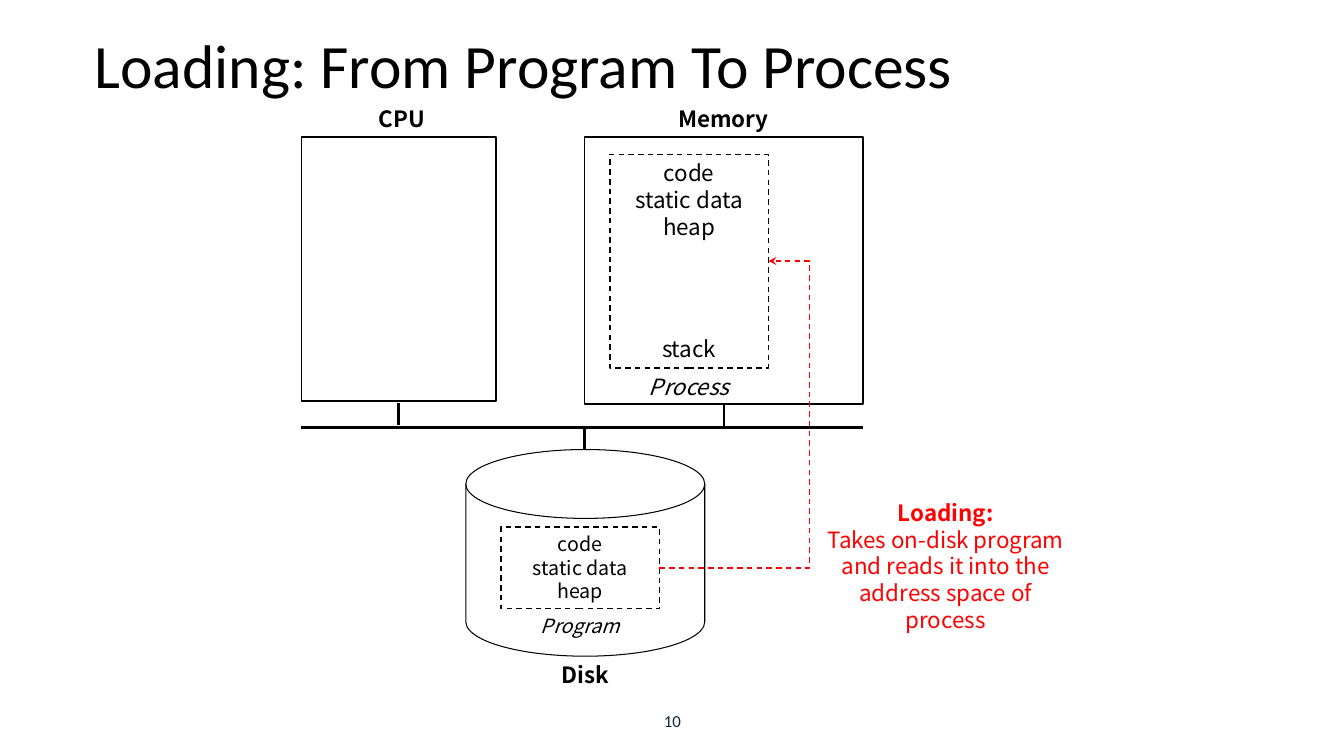
"""Draw how loading turns a program on disk into a process in memory."""
from lxml import etree
from pptx import Presentation
from pptx.dml.color import RGBColor
from pptx.enum.dml import MSO_LINE
from pptx.enum.shapes import MSO_CONNECTOR, MSO_SHAPE
from pptx.enum.text import MSO_ANCHOR, PP_ALIGN
from pptx.oxml.ns import qn
from pptx.util import Inches, Pt

RECTANGLE = MSO_SHAPE.RECTANGLE
CYLINDER = MSO_SHAPE.FLOWCHART_MAGNETIC_DISK
STRAIGHT, ELBOW = MSO_CONNECTOR.STRAIGHT, MSO_CONNECTOR.ELBOW
DASH = MSO_LINE.DASH
TOP, MIDDLE = MSO_ANCHOR.TOP, MSO_ANCHOR.MIDDLE
LEFT, CENTER = PP_ALIGN.LEFT, PP_ALIGN.CENTER

BLACK, WHITE, RED, NAVY = "000000", "FFFFFF", "FF0000", "0F243E"
TITLE_FONT, LABEL_FONT = "Calibri", "Noto Sans CJK KR"

COLUMNS, ROWS = 133.3, 75
LABEL_WIDTH, LABEL_HEIGHT = 15.7, 3.7
MEMORY = (58, 13.6, 27.6, 26.5)
CPU = (29.9, 13.6, 19.3, 26.2)
DISK = (46.2, 44.6, 23.7, 20.5)
PROCESS = (60.5, 15.3, LABEL_WIDTH, 21.2)
PROGRAM = (49.7, 52.3, LABEL_WIDTH, 8.1)
BUS = 42.4
SECTIONS = ["code", "static data", "heap"]


def grid(cells):
    """Turn a count of grid cells into a length."""
    return Inches(cells / 10)


def color(value):
    """Turn a hex string into a colour."""
    return RGBColor.from_string(value)


def add_text(page, lines, area, size=16, font=LABEL_FONT, ink=BLACK, bold=False,
             italic=False, bold_first=False, align=CENTER, anchor=TOP, spacing=1.0):
    """Write lines of text, one paragraph each, in an area of the grid."""
    frame = page.shapes.add_textbox(*map(grid, area)).text_frame
    frame.word_wrap = True
    frame.vertical_anchor = anchor
    for index, line in enumerate(lines):
        para = frame.add_paragraph() if index else frame.paragraphs[0]
        para.alignment, para.line_spacing = align, spacing
        span = para.add_run()
        span.text = line
        span.font.name, span.font.size = font, Pt(size)
        span.font.color.rgb = color(ink)
        span.font.bold = bold or (bold_first and index == 0)
        span.font.italic = italic


def add_box(page, area, kind=RECTANGLE, weight=1, dash=None):
    """Draw a white outlined shape in an area of the grid."""
    box = page.shapes.add_shape(kind, *map(grid, area))
    box.shadow.inherit = False
    box.fill.solid()
    box.fill.fore_color.rgb = color(WHITE)
    box.line.color.rgb = color(BLACK)
    box.line.width = Pt(weight)
    box.line.dash_style = dash


def add_line(page, start, end, kind=STRAIGHT, ink=BLACK, weight=2):
    """Draw a plain connector between two points of the grid."""
    line = page.shapes.add_connector(kind, *map(grid, start + end))
    line.line.color.rgb = color(ink)
    line.line.width = Pt(weight)
    etree.SubElement(line._element.spPr, qn("a:effectLst"))
    return line


def add_loading_arrow(page, start, end, bend):
    """Draw the dashed red arrow that turns at the bend column."""
    arrow = add_line(page, start, end, ELBOW, RED, 1)
    arrow.line.dash_style = DASH
    etree.SubElement(arrow.line._get_or_add_ln(), qn("a:tailEnd"), type="stealth")
    geometry = arrow._element.spPr.find(qn("a:prstGeom"))
    guides = geometry.find(qn("a:avLst"))
    if guides is None:
        guides = etree.SubElement(geometry, qn("a:avLst"))
    share = round((bend - start[0]) / (end[0] - start[0]) * 100000)
    etree.SubElement(guides, qn("a:gd"), name="adj1", fmla=f"val {share}")


def add_label(page, text, left, top, height=LABEL_HEIGHT, **style):
    """Write a one-line label of the common width."""
    add_text(page, [text], (left, top, LABEL_WIDTH, height), **style)


def add_memory(page):
    """Draw the memory with the process inside it."""
    left, top, width, height = PROCESS
    bottom = top + height
    add_box(page, MEMORY)
    add_box(page, PROCESS, dash=DASH)
    add_text(page, SECTIONS, (left, top, width, 9.4))
    add_label(page, "stack", left, bottom - LABEL_HEIGHT)
    add_label(page, "Process", left, bottom, italic=True)
    add_label(page, "Memory", 63.9, MEMORY[1] - LABEL_HEIGHT, bold=True)


def add_disk(page):
    """Draw the disk with the program inside it."""
    left, top, width, height = PROGRAM
    add_box(page, DISK, CYLINDER, weight=0.75)
    add_box(page, PROGRAM, dash=DASH)
    add_text(page, SECTIONS, PROGRAM, size=14)
    add_label(page, "Program", left, top + height, 3.4, size=14, italic=True)
    add_label(page, "Disk", 50.2, DISK[1] + DISK[3], bold=True)


def add_cpu(page):
    """Draw the empty CPU."""
    add_box(page, CPU)
    add_label(page, "CPU", 32, CPU[1] - LABEL_HEIGHT, bold=True)


def add_bus(page):
    """Draw the bus that joins CPU, memory and disk."""
    add_line(page, (CPU[0], BUS), (MEMORY[0] + MEMORY[2], BUS))
    for column, start, end in ((39.5, 40, 42.2), (71.8, 40.2, BUS), (58, BUS, DISK[1])):
        add_line(page, (column, start), (column, end))


def main():
    """Build and save the slide."""
    deck = Presentation()
    deck.slide_width, deck.slide_height = grid(COLUMNS), grid(ROWS)
    page = deck.slides.add_slide(deck.slide_layouts[6])
    add_text(page, ["Loading: From Program To Process"], (8.4, -0.5, 115, 14.5),
             size=44, font=TITLE_FONT, align=LEFT, anchor=MIDDLE, spacing=0.9)
    add_text(page, ["10"], (44.2, 69.5, 45, 4), size=12, font=TITLE_FONT,
             ink=NAVY, anchor=MIDDLE)
    add_memory(page)
    add_cpu(page)
    add_bus(page)
    add_disk(page)
    add_loading_arrow(page, (PROGRAM[0] + PROGRAM[2], PROGRAM[1] + PROGRAM[3] / 2),
                      (PROCESS[0] + PROCESS[2], PROCESS[1] + PROCESS[3] / 2), 80.3)
    add_text(page, ["Loading:", "Takes on-disk program",
                    "and reads it into the address space of process"],
             (80.8, 49, 26, 14.5), ink=RED, bold_first=True)
    deck.save("out.pptx")


if __name__ == "__main__":
    main()
